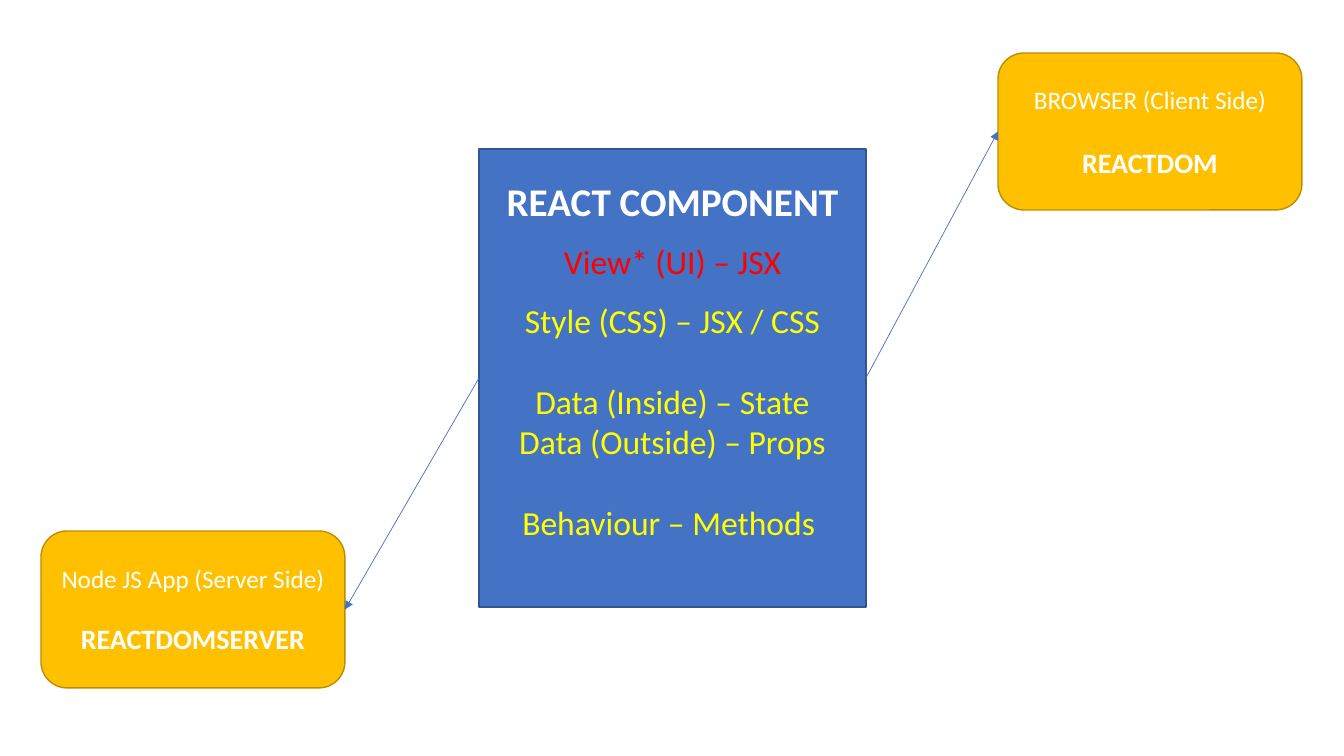
from lxml import etree
from pptx import Presentation
from pptx import util as u
from pptx.dml.color import RGBColor
from pptx.enum import shapes, text
from pptx.oxml.ns import qn

BLUE = RGBColor(0x44, 0x72, 0xC4)
DARK_BLUE = RGBColor(0x32, 0x54, 0x91)
AMBER = RGBColor(0xFF, 0xC0, 0x00)
DARK_AMBER = RGBColor(0xBD, 0x8E, 0x00)
WHITE = RGBColor(0xFF, 0xFF, 0xFF)
RED = RGBColor(0xFF, 0x00, 0x00)
YELLOW = RGBColor(0xFF, 0xFF, 0x00)
FONT = "Calibri"
TOP, LEFT, RIGHT = 0, 1, 3


def px(n):
    return u.Emu(round(n * 914400 / 100.8))


def add_box(s, kind, x, y, w, h, fill, line, anchor):
    sp = s.shapes.add_shape(kind, px(x), px(y), px(w), px(h))
    sp.shadow.inherit = False
    sp.fill.solid()
    sp.fill.fore_color.rgb = fill
    sp.line.color.rgb = line
    sp.line.width = u.Pt(1)
    sp.text_frame.word_wrap = True
    sp.text_frame.vertical_anchor = anchor
    return sp


def add_lines(sp, lines):
    tf = sp.text_frame
    tf.text = "\n".join(line[0] for line in lines)
    for p, (_, size, color, bold, before) in zip(tf.paragraphs, lines):
        p.alignment = text.PP_ALIGN.CENTER
        p.space_before = u.Pt(before)
        f = p.runs[0].font
        f.name, f.size, f.bold = FONT, u.Pt(size), bold
        f.color.rgb = color


def add_component(s):
    sp = add_box(s, shapes.MSO_SHAPE.RECTANGLE, 479, 149, 387, 458,
                 BLUE, DARK_BLUE, text.MSO_ANCHOR.TOP)
    add_lines(sp, [
        ("REACT COMPONENT", 28, WHITE, True, 0),
        ("View* (UI) – JSX", 24, RED, False, 12),
        ("Style (CSS) – JSX / CSS", 24, YELLOW, False, 13),
        ("Data (Inside) – State", 24, YELLOW, False, 29),
        ("Data (Outside) – Props", 24, YELLOW, False, 0),
        ("Behaviour – Methods ", 24, YELLOW, False, 29),
    ])
    sp.text_frame.paragraphs[0].line_spacing = 1.5
    return sp


def add_target(s, x, y, place, renderer, gap):
    sp = add_box(s, shapes.MSO_SHAPE.ROUNDED_RECTANGLE, x, y, 304, 157,
                 AMBER, DARK_AMBER, text.MSO_ANCHOR.MIDDLE)
    add_lines(sp, [
        (place, 18, WHITE, False, 0),
        (renderer, 20, WHITE, True, gap),
    ])
    return sp


def add_arrow(s, start, start_side, end, end_side):
    c = s.shapes.add_connector(shapes.MSO_CONNECTOR.STRAIGHT, 0, 0, 0, 0)
    c.begin_connect(start, start_side)
    c.end_connect(end, end_side)
    c.line.color.rgb = BLUE
    c.line.width = u.Pt(0.5)
    ln = c.line._get_or_add_ln()
    etree.SubElement(ln, qn("a:tailEnd"), type="triangle")
    etree.SubElement(c._element.spPr, qn("a:effectLst"))


def main():
    prs = Presentation()
    prs.slide_width, prs.slide_height = px(1344), px(756)
    s = prs.slides.add_slide(prs.slide_layouts[6])
    component = add_component(s)
    browser = add_target(s, 998, 53, "BROWSER (Client Side)", "REACTDOM", 22)
    add_arrow(s, component, RIGHT, browser, LEFT)
    server = add_target(s, 41, 531, "Node JS App (Server Side)",
                        "REACTDOMSERVER", 20)
    add_arrow(s, component, LEFT, server, RIGHT)
    prs.save("out.pptx")


if __name__ == "__main__":
    main()
